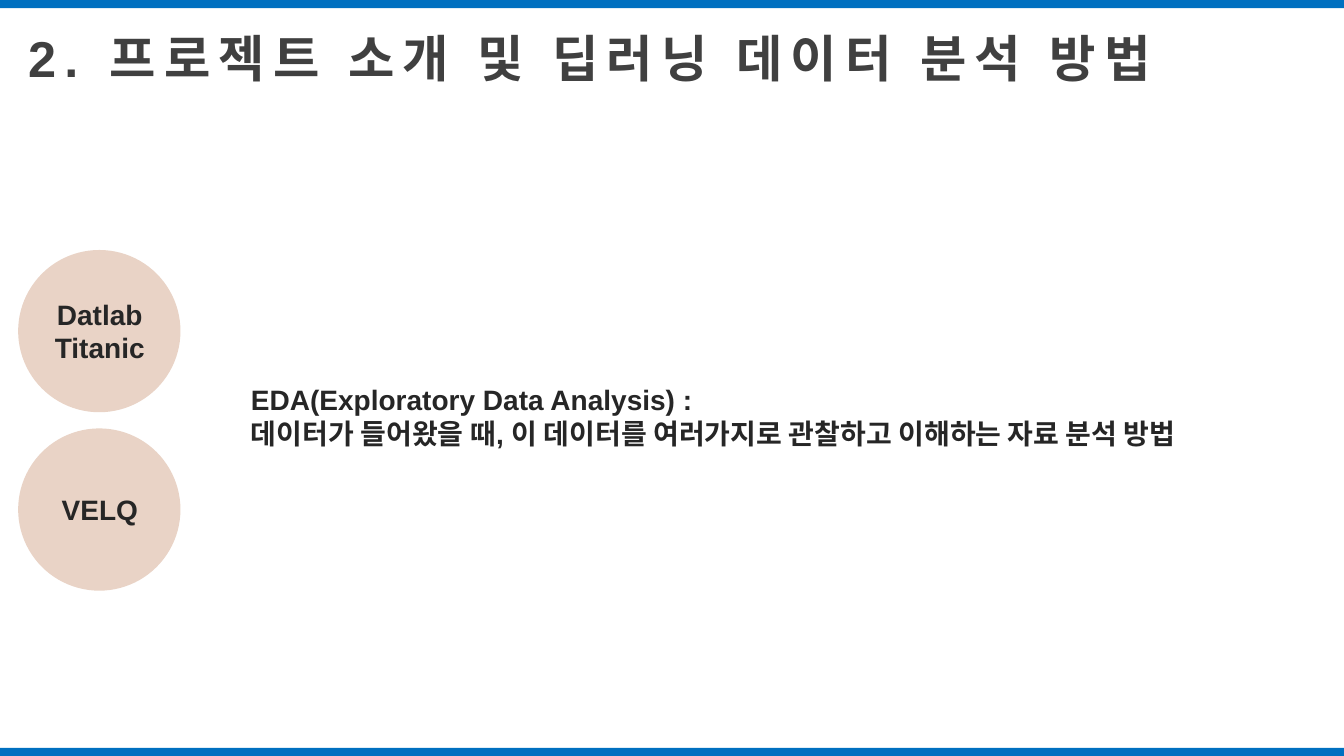
from pptx import Presentation
from pptx.dml.color import RGBColor
from pptx.enum import shapes, text
from pptx.util import Inches, Pt

COLORS = {"bar": "0070C0", "circle": "E9D3C6", "title": "404040", "body": "262626"}
TITLE = {"size": Pt(36), "bold": True, "name": "Arial"}
BODY = {"size": Pt(20), "bold": True, "name": "Arial"}


def add_shape(kind, x, y, w, h, color):
    sp = s.shapes.add_shape(kind, Inches(x), Inches(y), Inches(w), Inches(h))
    sp.shadow.inherit = False
    sp.fill.solid()
    sp.fill.fore_color.rgb = RGBColor.from_string(COLORS[color])
    sp.line.fill.background()


def add_text(lines, x, y, w, h, fmt, color, align=text.PP_ALIGN.LEFT, wrap=False, spacing=0):
    tf = s.shapes.add_textbox(Inches(x), Inches(y), Inches(w), Inches(h)).text_frame
    tf.word_wrap = wrap
    tf.auto_size = text.MSO_AUTO_SIZE.SHAPE_TO_FIT_TEXT
    for i, line in enumerate(lines):
        p = tf.add_paragraph() if i else tf.paragraphs[0]
        p.alignment = align
        r = p.add_run()
        r.text = line
        for key, value in fmt.items():
            setattr(r.font, key, value)
        r.font.color.rgb = RGBColor.from_string(COLORS[color])
        if spacing:
            r.font._element.set("spc", str(spacing * 100))


prs = Presentation()
prs.slide_width, prs.slide_height = Inches(13.33), Inches(7.5)
s = prs.slides.add_slide(prs.slide_layouts[6])

for y in (0, 7.42):
    add_shape(shapes.MSO_SHAPE.RECTANGLE, 0, y, 13.33, 0.08, "bar")

add_text(["2. 프로젝트 소개 및 딥러닝 데이터 분석 방법"],
         0.18, 0.22, 12.38, 0.71, TITLE, "title", spacing=6)

diameter = 1.61
for top, lines, height in ((2.48, ["Datlab", "Titanic"], 0.77), (4.25, ["VELQ"], 0.44)):
    add_shape(shapes.MSO_SHAPE.OVAL, 0.18, top, diameter, diameter, "circle")
    add_text(lines, 0.39, top + (diameter - height) / 2, 1.2, height, BODY, "body",
             align=text.PP_ALIGN.CENTER, wrap=True)

add_text(["EDA(Exploratory Data Analysis) :",
          "데이터가 들어왔을 때, 이 데이터를 여러가지로 관찰하고 이해하는 자료 분석 방법"],
         2.39, 3.75, 10.31, 0.77, BODY, "body")

prs.save("out.pptx")
